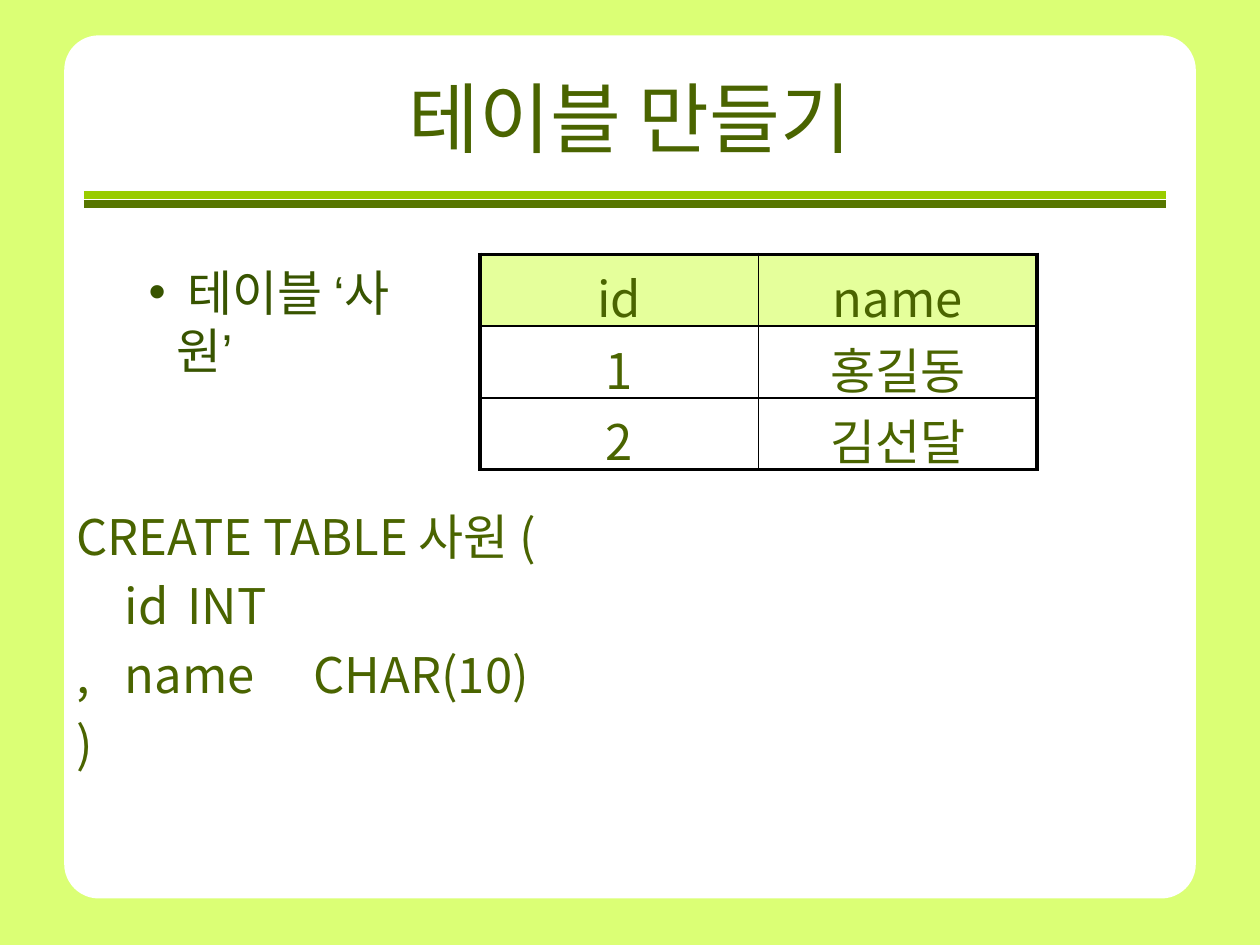
"""Build the slide on creating a table."""
from dataclasses import dataclass
from typing import Any

from lxml import etree
from pptx import Presentation
from pptx.dml import color
from pptx.enum import shapes, text
from pptx.oxml import ns
from pptx.util import Pt

FONT = "Noto Sans CJK KR"
INK, DARK, LIME, HEAD = "4A6400", "385400", "DBFF75", "E5FF9B"
CENTER, LEFT = text.PP_ALIGN.CENTER, text.PP_ALIGN.LEFT


@dataclass
class Rule:
    y: float
    tint: str


@dataclass
class Block:
    box: tuple[float, float, float, float]
    lines: list[list[tuple[str, str]]]
    tint: str
    pitch: float
    hang: float
    dot: str = ""


RULES = [Rule(111.5, "99CC00"), Rule(116.8, "577600")]
ROWS = [("id", "name"), ("1", "홍길동"), ("2", "김선달")]
CODE = ["CREATE TABLE 사원 (", "\tid\tINT", ",\tname\tCHAR(10)", ")"]
NOTE = [(" 테이블 ", FONT), ("‘", "Arial"), ("사원", FONT), ("’", "Arial")]
BLOCKS = [
    Block((36.7, 283.5, 635, 198), [[(line, FONT)] for line in CODE], INK, 39.4, 27.4),
    Block((77.8, 150, 182, 67), [NOTE], DARK, 33.4, 16, "•"),
]


def rgb(code: str) -> color.RGBColor:
    return color.RGBColor.from_string(code)


def put(item: Any, vals: dict[str, Any]) -> None:
    for key, val in vals.items():
        setattr(item, key, val)


def paint(fill: Any, code: str) -> None:
    fill.solid()
    fill.fore_color.rgb = rgb(code)


def sub(node: Any, tag: str, **attrs: str) -> Any:
    return etree.SubElement(node, ns.qn(tag), attrs)


def write(para: Any, words: str, size: float, tint: str, face: str = FONT) -> None:
    run = para.add_run()
    run.text = words
    put(run.font, {"size": Pt(size), "name": face})
    run.font.color.rgb = rgb(tint)
    sub(run.font._element, "a:ea", typeface=face)


def panel(slide: Any) -> None:
    kind = shapes.MSO_SHAPE.ROUNDED_RECTANGLE
    card = slide.shapes.add_shape(kind, Pt(36.7), Pt(20.2), Pt(646.6), Pt(493.2))
    card.adjustments[0] = 0.04
    card.shadow.inherit = False
    paint(card.fill, "FFFFFF")
    card.line.fill.background()


def stripe(slide: Any, rule: Rule) -> None:
    kind = shapes.MSO_CONNECTOR.STRAIGHT
    line = slide.shapes.add_connector(kind, Pt(48), Pt(rule.y), Pt(666), Pt(rule.y))
    line.line.width = Pt(4.5)
    line.line.color.rgb = rgb(rule.tint)
    sub(line._element.spPr, "a:effectLst")


def title(slide: Any, words: str) -> None:
    head = slide.shapes.title
    slide.shapes._spTree.append(head._element)
    put(head, {"left": Pt(36), "top": Pt(21.6), "width": Pt(648), "height": Pt(90)})
    head.text_frame.vertical_anchor = text.MSO_ANCHOR.MIDDLE
    para = head.text_frame.paragraphs[0]
    para.alignment = CENTER
    write(para, words, 44, INK)


def block(slide: Any, spec_: Block) -> None:
    frame = slide.shapes.add_textbox(*map(Pt, spec_.box)).text_frame
    put(frame, {"word_wrap": True, "margin_top": 0, "margin_bottom": 0})
    for num, parts in enumerate(spec_.lines):
        para = frame.add_paragraph() if num else frame.paragraphs[0]
        put(para, {"alignment": LEFT, "line_spacing": Pt(spec_.pitch)})
        props = para._p.get_or_add_pPr()
        props.set("marL", str(Pt(spec_.hang)))
        props.set("indent", str(-Pt(spec_.hang)))
        if spec_.dot:
            sub(props, "a:buFont", typeface="Arial")
            sub(props, "a:buChar", char=spec_.dot)
        for words, face in parts:
            write(para, words, 28, spec_.tint, face)


def border(cell: Any, outer: dict[str, bool]) -> None:
    props = cell._tc.get_or_add_tcPr()
    for side, edge in outer.items():
        line = sub(props, f"a:ln{side}", w=str(Pt(2.25 if edge else 1)))
        sub(sub(line, "a:solidFill"), "a:srgbClr", val="000000")


def table(slide: Any) -> None:
    high, wide = len(ROWS), len(ROWS[0])
    size = map(Pt, (274.3, 145.4, 318.2, 41 * high))
    grid = slide.shapes.add_table(high, wide, *size).table
    put(grid, {"first_row": False, "horz_banding": False})
    for row, names in enumerate(ROWS):
        for col, name in enumerate(names):
            cell = grid.cell(row, col)
            border(cell, {"L": col == 0, "R": col == wide - 1,
                          "T": row == 0, "B": row == high - 1})
            if row:
                cell.fill.background()
            else:
                paint(cell.fill, HEAD)
            para = cell.text_frame.paragraphs[0]
            para.alignment = CENTER
            write(para, name, 28, INK)


def main() -> None:
    deck = Presentation()
    put(deck, {"slide_width": Pt(720), "slide_height": Pt(540)})
    slide = deck.slides.add_slide(deck.slide_layouts[5])
    paint(slide.background.fill, LIME)
    panel(slide)
    for rule in RULES:
        stripe(slide, rule)
    title(slide, "테이블 만들기")
    code, note = BLOCKS
    block(slide, code)
    table(slide)
    block(slide, note)
    deck.save("out.pptx")


main()
